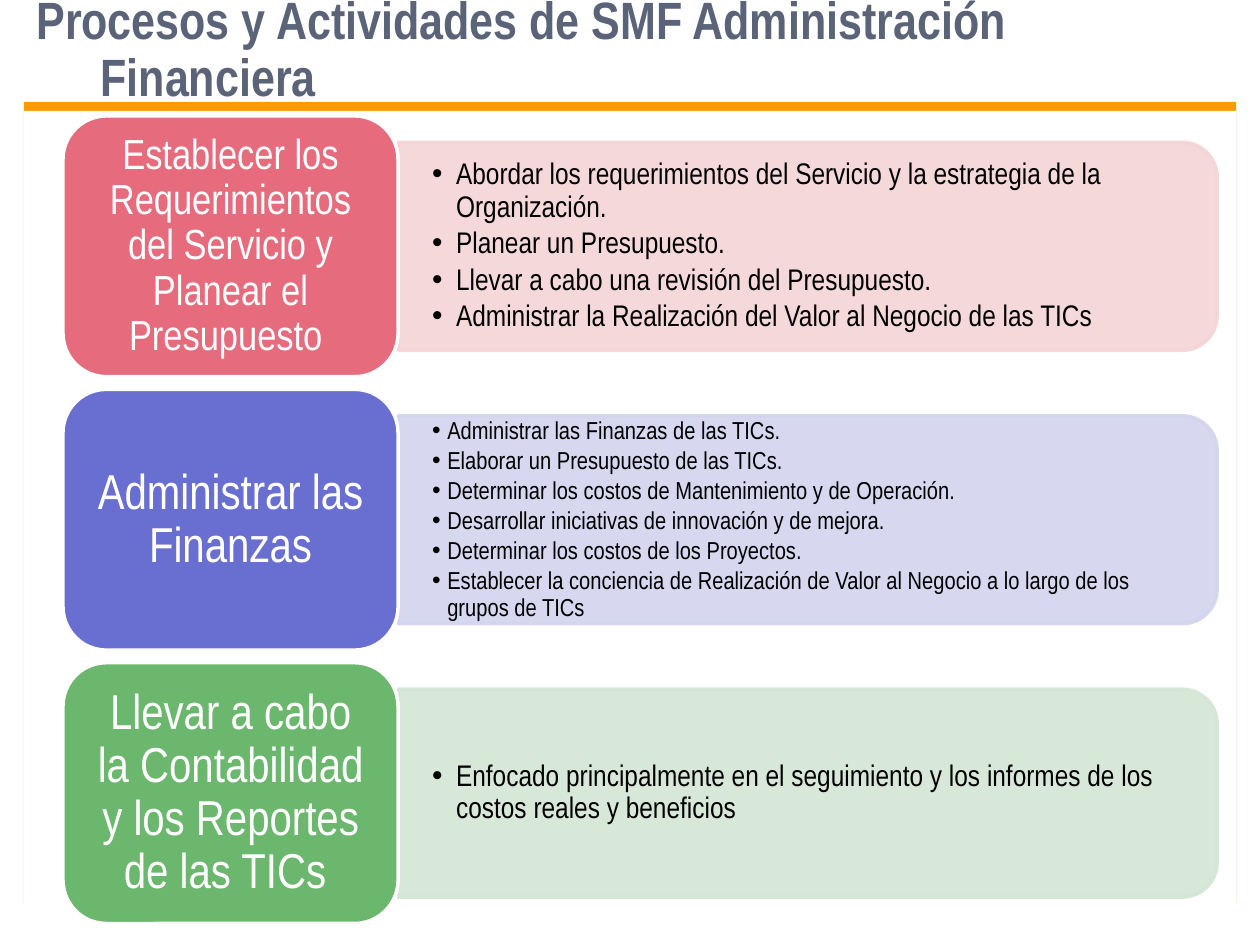
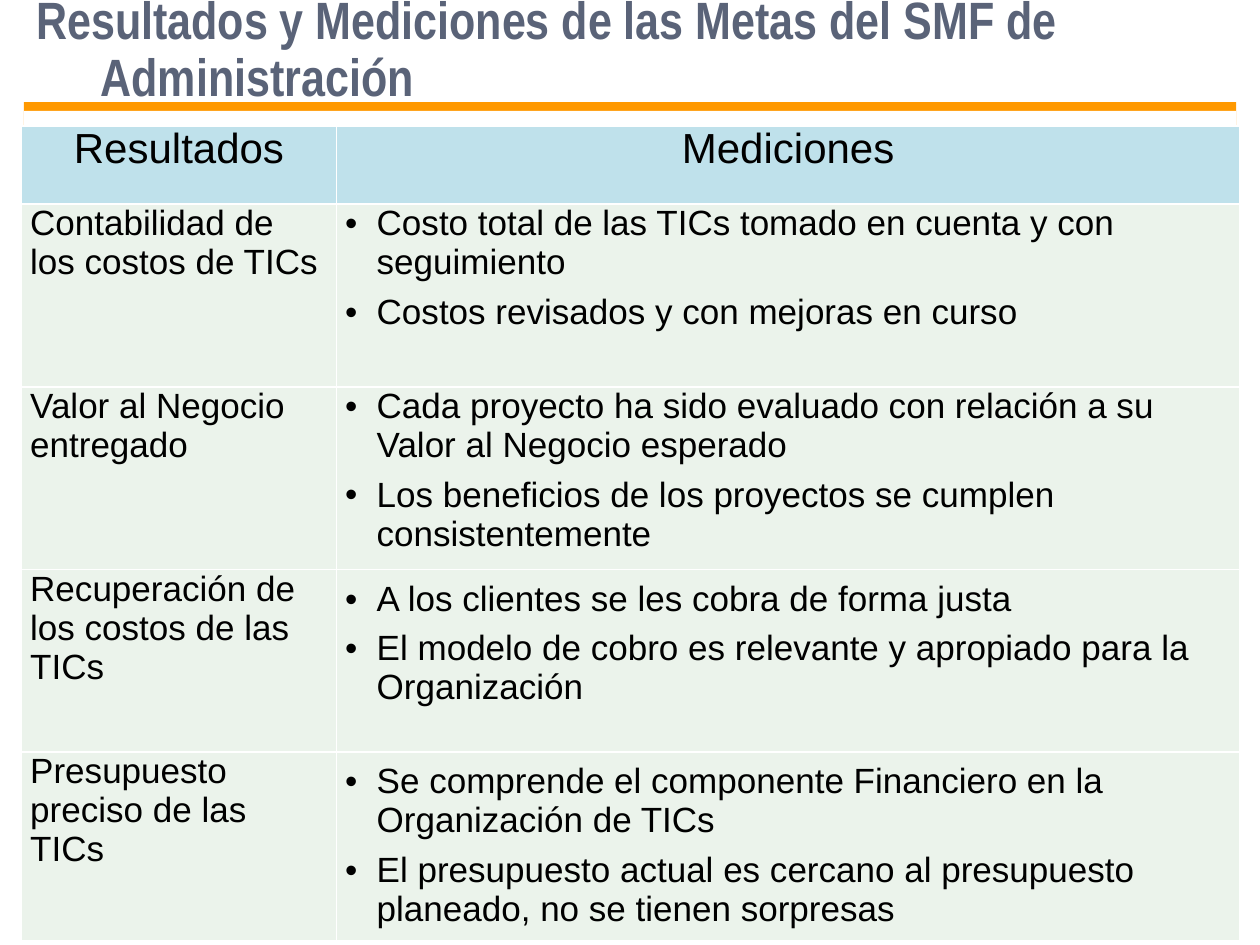
from lxml import etree
from pptx import Presentation
from pptx.dml.color import RGBColor
from pptx.enum.shapes import MSO_SHAPE
from pptx.enum.text import MSO_ANCHOR, PP_ALIGN
from pptx.oxml.ns import qn
from pptx.util import Inches, Pt

LEFT, CENTER = PP_ALIGN.LEFT, PP_ALIGN.CENTER
TOP, MIDDLE = MSO_ANCHOR.TOP, MSO_ANCHOR.MIDDLE
RECTANGLE = MSO_SHAPE.RECTANGLE
ROUNDED = MSO_SHAPE.ROUNDED_RECTANGLE
ROUNDED_TOP = MSO_SHAPE.ROUND_2_SAME_RECTANGLE
NARROW, PLAIN = "Arial Narrow", "Arial"

COLORS = {
    "title": "5A6378", "rule": "FF9900", "text": "000000", "white": "FFFFFF",
    "red": "E66C7D", "red_pale": "F5D4D7",
    "blue": "696FD1", "blue_pale": "D3D4EE",
    "green": "6BB76D", "green_pale": "D4E6D4",
    "header": "BFE1EB", "cell": "EBF3EB",
}

CARD_LEFT, CARD_TOP, CARD_WIDTH, CARD_HEIGHT = 0.5, 0.92, 2.66, 2.07
CARD_PITCH = 2.17
PANEL_WIDTH, PANEL_HEIGHT = 6.5, 1.65

# Label, label size, label insets, colour, activity size, hanging indent, activities
PROCESSES = [
    ("Establecer los Requerimientos del Servicio y Planear el Presupuesto ",
     24, (0.1, 0.05), "red", 17, 0.19,
     ["Abordar los requerimientos del Servicio y la estrategia de la Organización.",
      "Planear un Presupuesto.",
      "Llevar a cabo una revisión del Presupuesto.",
      "Administrar la Realización del Valor al Negocio de las TICs"]),
    ("Administrar las Finanzas", 28, (0.12, 0.06), "blue", 14, 0.12,
     ["Administrar las Finanzas de las TICs.",
      "Elaborar un Presupuesto de las TICs.",
      "Determinar los costos de Mantenimiento y de Operación.",
      "Desarrollar iniciativas de innovación y de mejora.",
      "Determinar los costos de los Proyectos.",
      "Establecer la conciencia de Realización de Valor al Negocio a lo largo "
      "de los grupos de TICs"]),
    ("Llevar a cabo la Contabilidad y los Reportes de las TICs ",
     28, (0.12, 0.06), "green", 17, 0.19,
     ["Enfocado principalmente en el seguimiento y los informes de los costos "
      "reales y beneficios"]),
]

# Result, top inset of its measures, measures
RESULTS = [
    ("Contabilidad de los costos de TICs", 0,
     ["Costo total de las TICs tomado en cuenta y con seguimiento",
      "Costos revisados y con mejoras en curso"]),
    ("Valor al Negocio entregado", 0,
     ["Cada proyecto ha sido evaluado con relación a su Valor al Negocio esperado",
      "Los beneficios de los proyectos se cumplen consistentemente"]),
    ("Recuperación de los costos de las TICs", 0.08,
     ["A los clientes se les cobra de forma justa",
      "El modelo de cobro es relevante y apropiado para la Organización"]),
    ("Presupuesto preciso de las TICs", 0.08,
     ["Se comprende el componente Financiero en la Organización de TICs",
      "El presupuesto actual es cercano al presupuesto planeado, no se tienen sorpresas"]),
]


def rgb(name):
    return RGBColor.from_string(COLORS[name])


def write_text(frame, lines, size, font=NARROW, color="text", bold=False,
               align=LEFT, spacing=1.0, before=0, after=0, indent=0, bullet=False):
    """Fill a text frame with one paragraph per line; indent is hanging."""
    frame.word_wrap = True
    for index, line in enumerate(lines):
        para = frame.add_paragraph() if index else frame.paragraphs[0]
        para.alignment, para.line_spacing = align, spacing
        para.space_before, para.space_after = Pt(before), Pt(after)
        props = para._p.get_or_add_pPr()
        if indent:
            props.set("marL", str(Inches(indent)))
            props.set("indent", str(-Inches(indent)))
        if bullet:
            etree.SubElement(props, qn("a:buFont")).set("typeface", PLAIN)
            etree.SubElement(props, qn("a:buChar")).set("char", "•")
        span = para.add_run()
        span.text = line
        span.font.name, span.font.size, span.font.bold = font, Pt(size), bold
        span.font.color.rgb = rgb(color)


def set_insets(target, across, down):
    target.margin_left = target.margin_right = Inches(across)
    target.margin_top = target.margin_bottom = Inches(down)


def add_text_box(page, left, top, width, height, lines, insets=(0.1, 0.05), **style):
    box = page.shapes.add_textbox(Inches(left), Inches(top), Inches(width), Inches(height))
    box.text_frame.vertical_anchor = MIDDLE
    set_insets(box.text_frame, *insets)
    write_text(box.text_frame, lines, **style)


def add_block(page, kind, left, top, width, height, fill, line=None):
    block = page.shapes.add_shape(kind, Inches(left), Inches(top), Inches(width), Inches(height))
    block.shadow.inherit = False
    block.fill.solid()
    block.fill.fore_color.rgb = rgb(fill)
    if line:
        block.line.color.rgb = rgb(line)
        block.line.width = Pt(2)
    else:
        block.line.fill.background()
    return block


def set_opacity(block, percent):
    """Apply the opacity to both the fill and the line."""
    for color in block._element.spPr.iter(qn("a:srgbClr")):
        etree.SubElement(color, qn("a:alpha")).set("val", str(percent * 1000))


def cast_shadow_up(block, color, distance):
    """Give the block a sharp shadow that shows as a band above it."""
    effects = block._element.spPr.find(qn("a:effectLst"))
    shadow = etree.SubElement(effects, qn("a:outerShdw"), blurRad="0",
                              dist=str(Pt(distance)), dir=str(270 * 60000),
                              algn="ctr", rotWithShape="0")
    etree.SubElement(shadow, qn("a:srgbClr")).set("val", COLORS[color])


def add_page(deck, title):
    page = deck.slides.add_slide(deck.slide_layouts[6])
    sheet = add_block(page, RECTANGLE, 0.19, 0.88, 9.62, 6.37, "white")
    cast_shadow_up(sheet, "rule", 5)
    add_text_box(page, 0.19, -0.1, 9.31, 1.01, [title], size=30, color="title",
                 bold=True, spacing=0.9, before=9, indent=0.51)
    return page


def add_process(page, top, label, label_size, insets, color, size, indent, activities):
    panel_left = CARD_LEFT + CARD_WIDTH
    middle = top + CARD_HEIGHT / 2
    # The panel is an upright shape turned a quarter, so its sides are swapped.
    panel = add_block(page, ROUNDED_TOP, panel_left + (PANEL_WIDTH - PANEL_HEIGHT) / 2,
                      middle - PANEL_WIDTH / 2, PANEL_HEIGHT, PANEL_WIDTH,
                      color + "_pale", color + "_pale")
    panel.rotation = 90
    set_opacity(panel, 90)
    add_text_box(page, panel_left, top + 0.29, 6.42, 1.49, activities, (0.27, 0.14),
                 size=size, spacing=0.9, after=size * 0.15, indent=indent, bullet=True)

    card = add_block(page, ROUNDED, CARD_LEFT, top, CARD_WIDTH, CARD_HEIGHT, color, "white")
    card.text_frame.vertical_anchor = MIDDLE
    set_insets(card.text_frame, *insets)
    write_text(card.text_frame, [label], label_size, color="white", align=CENTER,
               spacing=0.9, after=label_size * 0.35)


def set_borders(cell, color):
    props = cell._tc.get_or_add_tcPr()
    for side in ("a:lnL", "a:lnR", "a:lnT", "a:lnB"):
        border = etree.SubElement(props, qn(side), w=str(Pt(1)))
        fill = etree.SubElement(border, qn("a:solidFill"))
        etree.SubElement(fill, qn("a:srgbClr")).set("val", COLORS[color])


def write_cell(cell, lines, fill, top_inset=0, **style):
    set_borders(cell, "white")
    cell.fill.solid()
    cell.fill.fore_color.rgb = rgb(fill)
    cell.vertical_anchor = TOP
    set_insets(cell, 0.07, 0)
    cell.margin_top = Inches(top_inset)
    write_text(cell.text_frame, lines, font=PLAIN, before=6, **style)


def add_results_table(page):
    widths, heights = [2.5, 7.17], [0.62] + [1.45] * len(RESULTS)
    table = page.shapes.add_table(len(heights), len(widths), Inches(0.17), Inches(1),
                                  Inches(sum(widths)), Inches(sum(heights))).table
    table.first_row = table.horz_banding = False
    for column, width in zip(table.columns, widths):
        column.width = Inches(width)
    for row, height in zip(table.rows, heights):
        row.height = Inches(height)
    for index, heading in enumerate(["Resultados", "Mediciones"]):
        write_cell(table.cell(0, index), [heading], "header", size=24, align=CENTER)
    for index, (result, top_inset, measures) in enumerate(RESULTS, start=1):
        write_cell(table.cell(index, 0), [result], "cell", size=20)
        write_cell(table.cell(index, 1), measures, "cell", top_inset,
                   size=20, indent=0.25, bullet=True)


def main():
    deck = Presentation()
    deck.slide_width, deck.slide_height = Inches(10), Inches(7.5)

    page = add_page(deck, "Procesos y Actividades de SMF Administración Financiera")
    for index, process in enumerate(PROCESSES):
        add_process(page, CARD_TOP + index * CARD_PITCH, *process)

    page = add_page(deck, "Resultados y Mediciones de las Metas del SMF de Administración")
    add_results_table(page)

    deck.save("out.pptx")


if __name__ == "__main__":
    main()
